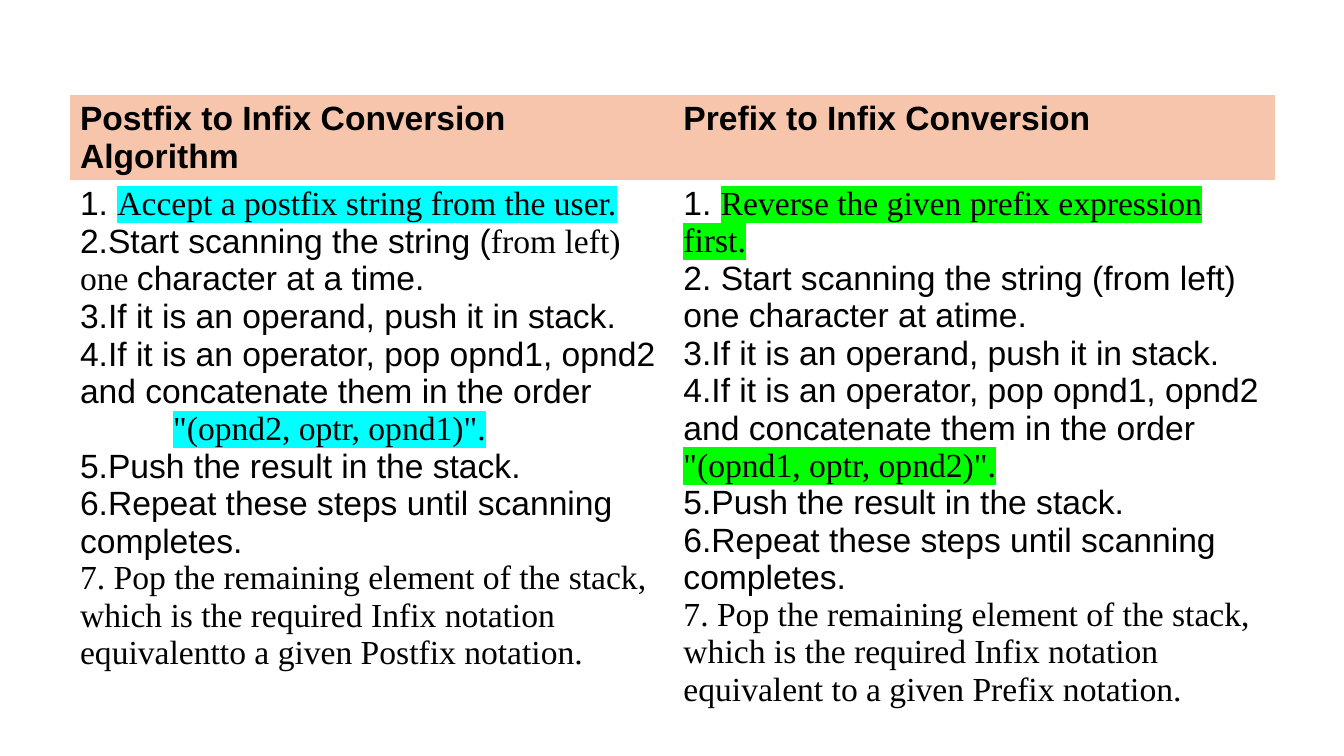
from dataclasses import dataclass

from lxml import etree
from pptx import Presentation
from pptx.dml.color import RGBColor
from pptx.oxml.ns import qn
from pptx.util import Pt

BLANK_LAYOUT = 6
PLAIN_TABLE_STYLE = "{2D5ABB26-0587-4C30-8999-92F81FD0307C}"


@dataclass(frozen=True)
class Theme:
    """Colours, fonts and type size of the slide."""
    ink: str = "000000"
    header: str = "F6C5AB"
    cyan: str = "00FFFF"
    green: str = "00FF00"
    sans: str = "Arial"
    serif: str = "Times New Roman"
    size: int = 24


THEME = Theme()
SERIF = {"font": THEME.serif}
CYAN = {"font": THEME.serif, "highlight": THEME.cyan}
GREEN = {"font": THEME.serif, "highlight": THEME.green}

OPERAND = [("3.If it is an operand, push it in stack.", {})]
OPERATOR = "4.If it is an operator, pop opnd1, opnd2 and concatenate them in the order "
CLOSING = [
    [("5.Push the result in the stack.", {})],
    [("6.Repeat these steps until scanning completes.", {})],
]
LAST = "7. Pop the remaining element of the stack, which is the required Infix notation "

POSTFIX_STEPS = [
    [("1. ", {}), ("Accept a postfix string from the user.", CYAN)],
    [("2.Start scanning the string (", {}), ("from left) one ", SERIF),
     ("character at a time.", {})],
    OPERAND,
    [(OPERATOR.rstrip(), {})],
    [('"(opnd2, optr, opnd1)".', CYAN)],
    *CLOSING,
    [(LAST + "equivalentto a given Postfix notation.", SERIF)],
]
POSTFIX_INDENTS = {4: Pt(66.5)}

PREFIX_STEPS = [
    [("1. ", {}), ("Reverse the given prefix expression first.", GREEN)],
    [("2. Start scanning the string (from left) one character at atime.", {})],
    OPERAND,
    [(OPERATOR, {}), ('"(opnd1, optr, opnd2)".', GREEN)],
    *CLOSING,
    [(LAST + "equivalent to a given Prefix notation.", SERIF)],
]


def add_span(para, text, font=THEME.sans, bold=False, highlight=None):
    """Add formatted text to a paragraph."""
    span = para.add_run()
    span.text = text
    span.font.name = font
    span.font.size = Pt(THEME.size)
    span.font.bold = bold
    span.font.color.rgb = RGBColor.from_string(THEME.ink)
    if highlight:
        mark = etree.Element(qn("a:highlight"))
        etree.SubElement(mark, qn("a:srgbClr"), val=highlight)
        span.font._element.find(qn("a:solidFill")).addnext(mark)


def fill_cell(cell, paragraphs, fill=None, indents=None):
    """Set the fill and the paragraphs of a table cell."""
    if fill:
        cell.fill.solid()
        cell.fill.fore_color.rgb = RGBColor.from_string(fill)
    else:
        cell.fill.background()
    frame = cell.text_frame
    for index, spans in enumerate(paragraphs):
        para = frame.add_paragraph() if index else frame.paragraphs[0]
        if indents and index in indents:
            properties = para._p.get_or_add_pPr()
            properties.set("marL", str(indents[index]))
            properties.set("indent", "0")
        for text, style in spans:
            add_span(para, text, **style)


def add_plain_table(page, left, top, widths, heights):
    """Add a table without borders or banding."""
    table = page.shapes.add_table(
        len(heights), len(widths), left, top, sum(widths), sum(heights)).table
    table.horz_banding = False
    table._tbl.tblPr.find(qn("a:tableStyleId")).text = PLAIN_TABLE_STYLE
    for column, width in zip(table.columns, widths):
        column.width = width
    for row, height in zip(table.rows, heights):
        row.height = height
    return table


def main():
    """Build and save the comparison slide."""
    deck = Presentation()
    deck.slide_width, deck.slide_height = Pt(960), Pt(540)
    page = deck.slides.add_slide(deck.slide_layouts[BLANK_LAYOUT])
    table = add_plain_table(page, Pt(50), Pt(68), [Pt(431), Pt(430)], [Pt(60.5), Pt(387.5)])
    columns = [
        ("Postfix to Infix Conversion Algorithm", POSTFIX_STEPS, POSTFIX_INDENTS),
        ("Prefix to Infix Conversion", PREFIX_STEPS, None),
    ]
    for index, (title, steps, indents) in enumerate(columns):
        fill_cell(table.cell(0, index), [[(title, {"bold": True})]], fill=THEME.header)
        fill_cell(table.cell(1, index), steps, indents=indents)
    deck.save("out.pptx")


if __name__ == "__main__":
    main()
